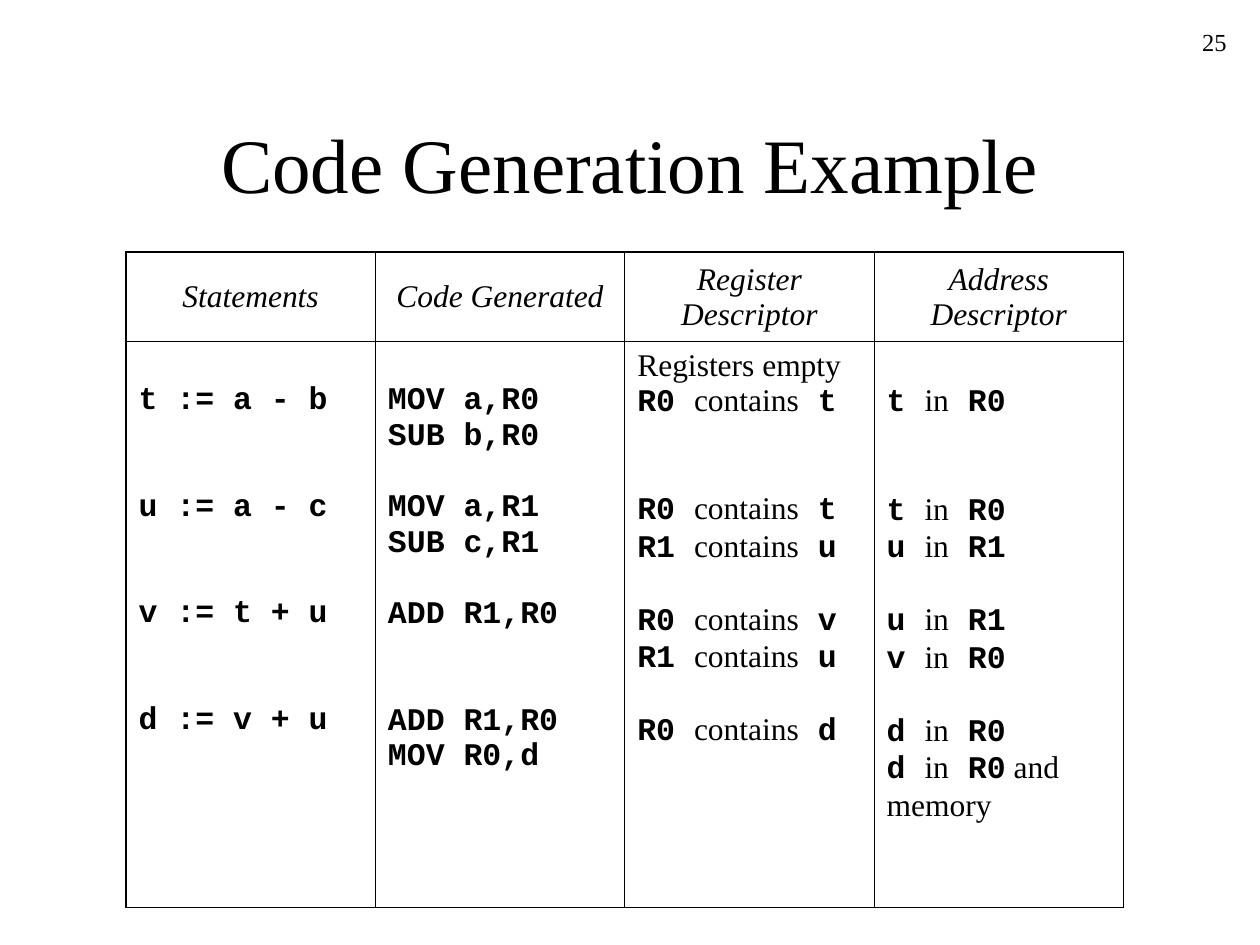
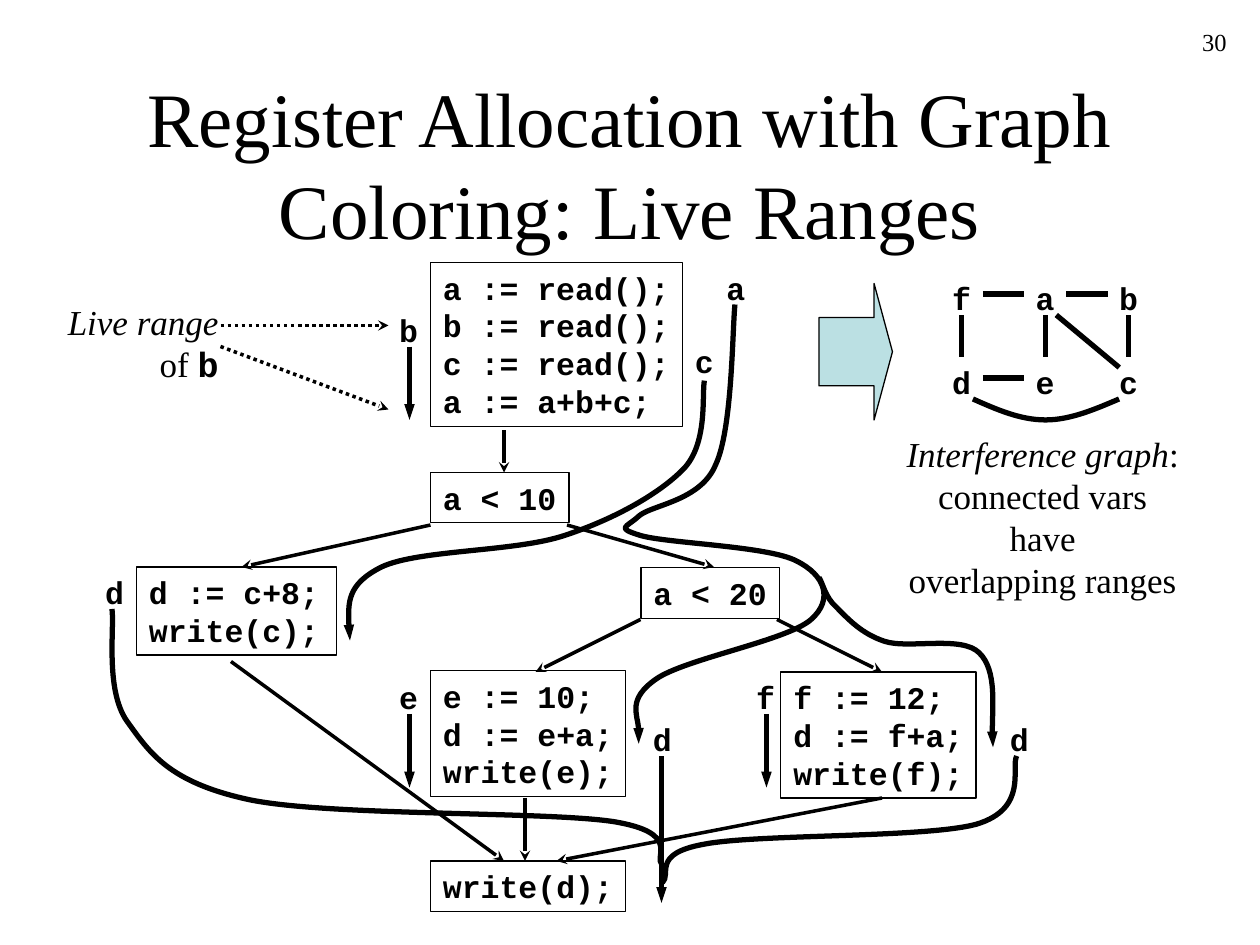
import pptx
import pptx.util
import pptx.dml.color
import pptx.enum.dml
import pptx.enum.shapes
import pptx.enum.text
import pptx.oxml.ns
import lxml.etree

Pt = pptx.util.Pt
qn = pptx.oxml.ns.qn
ALIGN = pptx.enum.text.PP_ALIGN
ANCHOR = pptx.enum.text.MSO_ANCHOR
AUTO_SIZE = pptx.enum.text.MSO_AUTO_SIZE
SHAPES = pptx.enum.shapes.MSO_SHAPE

# Shared style
COLORS = {"ink": "000000", "arrow": "BBE0E3"}
SERIF, MONO = "Times New Roman", "Courier New"
CODE_SIZE, CHARACTER_WIDTH = 18, 10.8
LEADING = 1.2  # line height as a multiple of the text size
MARGIN_X, MARGIN_Y = 7.2, 3.6

# Text marks: `code` is bold monospace, *word* is italic

# Content: code generation table
TABLE_BOX = (72, 144, 570, 374.4)
HEADER_HEIGHT = 51
HEADERS = ["Statements", "Code Generated", "Register Descriptor", "Address Descriptor"]
INITIAL_STATE = ["", "", "Registers empty", ""]
STEPS = [
    (["`t := a - b`"], ["`MOV a,R0`", "`SUB b,R0`"],
     ["`R0 `contains` t`"], ["`t `in` R0`"]),
    (["`u := a - c`"], ["`MOV a,R1`", "`SUB c,R1`"],
     ["`R0 `contains` t`", "`R1 `contains` u`"], ["`t `in` R0`", "`u `in` R1`"]),
    (["`v := t + u`"], ["`ADD R1,R0`"],
     ["`R0 `contains` v`", "`R1 `contains` u`"], ["`u `in` R1`", "`v `in` R0`"]),
    (["`d := v + u`"], ["`ADD R1,R0`", "`MOV R0,d`"],
     ["`R0 `contains` d`"], ["`d `in` R0`", "`d `in` R0` and memory"]),
]
LINES_PER_STEP, TABLE_LINE, CELL_TOP = 3, 20.2, 4.1
OUTER_BORDER, INNER_BORDER = 1.08, 0.45

# Content: flow graph, as left, top, code lines and any extra width
BLOCKS = [
    (246, 150, ["a := read();", "b := read();", "c := read();", "a := a+b+c;"]),
    (366.3, 324.5, ["a < 20"]),
    (246, 270, ["a < 10"]),
    (78, 324, ["d := c+8;", "write(c);"], 2.6),
    (446.2, 384, ["f := 12;", "d := f+a;", "write(f);"]),
    (246, 383.2, ["e := 10;", "d := e+a;", "write(e);"]),
    (246, 492, ["write(d);"]),
]
FLOW_ARROWS = [
    (288, 246, 288, 270), (246, 300, 138, 324), (324, 300, 408, 324),
    (444, 354, 504, 384), (366, 354, 306, 384), (300, 456, 300, 492),
    (132, 378, 288, 492), (504, 456, 318, 492),
]

# Content: live ranges; a curve is a start point, then cubic segments
RANGE_LABELS = [
    ("a", 408, 150), ("b", 221, 174), ("c", 390, 192), ("e", 221, 384),
    ("f", 425, 384), ("d", 53, 324), ("d", 570, 408), ("d", 366, 408),
]
RANGE_ARROWS = [
    (234, 198, 234, 240), (234, 408, 234, 450),
    (438, 408, 438, 450), (378, 432, 378, 516),
]
RANGE_CURVES = {
    "c": [(402.5, 217.5), (401, 225.5, 404.5, 252, 391.5, 267),
          (378, 281.5, 351.5, 296.5, 322.5, 306), (294, 315.5, 239, 314, 218, 324),
          (198, 334, 198.5, 350, 200, 366)],
    "a": [(420, 174), (418.5, 189.5, 418.5, 245.5, 409, 265.5),
          (400.5, 286.5, 372, 288.5, 365, 295), (358, 301.5, 351.5, 301.5, 366, 306),
          (381, 310.5, 439, 312, 455, 320.5), (471.5, 328.5, 476.5, 342.5, 463.5, 354),
          (450, 366, 391.5, 376.5, 375, 388), (358.5, 399.5, 367, 417, 365, 425)],
    "a branch": [(468, 330), (470, 332.5, 471.5, 341.5, 478, 347),
                 (484.5, 353.5, 492, 362, 505.5, 366.5), (519, 371, 549.5, 363, 559.5, 373),
                 (570, 383, 566, 415.5, 567.5, 427)],
    "d right": [(581, 432), (577.5, 438.5, 588, 462, 558, 471),
                (528.5, 479, 432, 476.5, 402, 482.5), (372, 488, 384, 499.5, 378.5, 504.5)],
    "d left": [(64, 348), (65.5, 358.5, 60, 394, 72.5, 412),
               (85.5, 430, 96, 447, 142.5, 457), (188.5, 466.5, 311, 463.5, 350.5, 469.5),
               (390, 476, 373, 489.5, 378.5, 494.5)],
}
MERGING_RANGES = {"d right", "d left"}  # these end without an arrowhead

# Content: interference graph
NODES = {
    "f": (549.6, 168), "a": (597.3, 168), "b": (645, 168),
    "d": (549.6, 216), "e": (597.3, 216), "c": (645, 216),
}
EDGES = ["fa", "ab", "fd", "ae", "bc", "de"]
EDGE_INSET = 12
DIAGONAL_EDGE = (603.6, 180, 639.6, 210)
CURVED_EDGE = [(556, 228), (569.5, 234, 583, 240, 597.5, 240),
               (611.5, 240, 625.5, 234, 639.5, 228)]
GRAPH_CAPTION = ["*Interference graph*:", "connected vars have", "overlapping ranges"]
RANGE_CAPTION = ["*Live range*", "of `b`"]
CAPTION_ARROWS = [(126, 186, 222, 186), (126, 198, 222, 234)]


def ink(name):
    return pptx.dml.color.RGBColor.from_string(COLORS[name])


def write_line(paragraph, marked, size, align=ALIGN.LEFT):
    """Add runs to a paragraph from text with code and italic marks."""
    paragraph.alignment = align
    for code_index, part in enumerate(marked.split("`")):
        for italic_index, piece in enumerate(part.split("*")):
            if not piece:
                continue
            run = paragraph.add_run()
            run.text = piece
            is_code = code_index % 2 == 1
            run.font.name = MONO if is_code else SERIF
            run.font.size = Pt(size)
            run.font.bold = is_code
            run.font.italic = italic_index % 2 == 1
            run.font.color.rgb = ink("ink")


def write_lines(shape, lines, size, align=ALIGN.LEFT, anchor=ANCHOR.TOP, wrap=False):
    text_frame = shape.text_frame
    text_frame.word_wrap = wrap
    text_frame.auto_size = AUTO_SIZE.NONE if wrap else AUTO_SIZE.SHAPE_TO_FIT_TEXT
    text_frame.vertical_anchor = anchor
    text_frame.margin_left = text_frame.margin_right = Pt(MARGIN_X)
    text_frame.margin_top = text_frame.margin_bottom = Pt(MARGIN_Y)
    paragraph = text_frame.paragraphs[0]
    paragraph.line_spacing = Pt(size * LEADING)
    for index, line in enumerate(lines):
        if index:
            paragraph.add_line_break()
        write_line(paragraph, line, size, align)


def add_text(slide, box, lines, size, **options):
    write_lines(slide.shapes.add_textbox(*map(Pt, box)), lines, size, **options)


def code_size(lines):
    """Width and height of a box that fits the code."""
    width = max(map(len, lines)) * CHARACTER_WIDTH + 2 * MARGIN_X
    return width, len(lines) * CODE_SIZE * LEADING + 2 * MARGIN_Y


def add_label(slide, name, left, top):
    add_text(slide, (left, top, *code_size([name])), [f"`{name}`"], CODE_SIZE)


def style_line(shape, width, head=None, dash=None):
    line = shape.line
    line.color.rgb = ink("ink")
    line.width = Pt(width)
    if dash:
        line.dash_style = dash
    if head:
        outline = shape._element.spPr.find(qn("a:ln"))
        head_width = "sm" if head == "triangle" else "med"
        lxml.etree.SubElement(outline, qn("a:tailEnd"), type=head, w=head_width)


def add_line(slide, ends, width, head=None, dash=None):
    connector = slide.shapes.add_connector(
        pptx.enum.shapes.MSO_CONNECTOR.STRAIGHT, *map(Pt, ends))
    style_line(connector, width, head, dash)
    lxml.etree.SubElement(connector._element.spPr, qn("a:effectLst"))


def add_curve(slide, curve, head=None):
    """Draw an open outline, joining every three points into a cubic segment."""
    points = [tuple(map(Pt, segment[i:i + 2]))
              for segment in curve[1:] for i in (0, 2, 4)]
    builder = slide.shapes.build_freeform(*map(Pt, curve[0]), scale=1.0)
    builder.add_line_segments(points, close=False)
    shape = builder.convert_to_shape()
    outline = next(shape._element.iter(qn("a:path")))
    straight = outline.findall(qn("a:lnTo"))
    for start in range(0, len(straight), 3):
        cubic = lxml.etree.SubElement(outline, qn("a:cubicBezTo"))
        for segment in straight[start:start + 3]:
            cubic.append(segment[0])
            outline.remove(segment)
    shape.shadow.inherit = False
    shape.fill.background()
    style_line(shape, 3, head)


def add_slide(presentation, title, number):
    slide = presentation.slides.add_slide(presentation.slide_layouts[6])
    add_text(slide, (54, 48, 612, 90), [title], 44,
             align=ALIGN.CENTER, anchor=ANCHOR.MIDDLE, wrap=True)
    add_text(slide, (558, 12, 150, 36), [number], 14, align=ALIGN.RIGHT, wrap=True)
    return slide


def style_cell(cell, row, column):
    """Thick borders at the left and top of the table, thin ones elsewhere."""
    thick_sides = {"L": column == 0, "R": False, "T": row == 0, "B": False}
    properties = cell._tc.get_or_add_tcPr()
    for side, is_thick in thick_sides.items():
        width = OUTER_BORDER if is_thick else INNER_BORDER
        border = lxml.etree.SubElement(properties, qn(f"a:ln{side}"), w=str(Pt(width)))
        fill = lxml.etree.SubElement(border, qn("a:solidFill"))
        lxml.etree.SubElement(fill, qn("a:srgbClr"), val=COLORS["ink"])
    cell.fill.background()
    cell.margin_left = cell.margin_right = Pt(MARGIN_X)
    cell.margin_top, cell.margin_bottom = Pt(CELL_TOP), Pt(MARGIN_Y)


def fill_steps(cell, column):
    """Start each step at a fixed number of lines after the one before."""
    paragraph = cell.text_frame.paragraphs[0]
    if INITIAL_STATE[column]:
        write_line(paragraph, INITIAL_STATE[column], CODE_SIZE)
    else:
        cell.margin_top = Pt(CELL_TOP + TABLE_LINE)
    gap = 0
    for step in STEPS:
        for line in step[column]:
            if paragraph.runs:
                paragraph = cell.text_frame.add_paragraph()
            write_line(paragraph, line, CODE_SIZE)
            paragraph.space_before = Pt(gap * TABLE_LINE)
            gap = 0
        gap = LINES_PER_STEP - len(step[column])


def build_code_generation(presentation):
    slide = add_slide(presentation, "Code Generation Example", "25")
    table = slide.shapes.add_table(2, len(HEADERS), *map(Pt, TABLE_BOX)).table
    table.first_row = table.horz_banding = False
    table.rows[0].height = Pt(HEADER_HEIGHT)
    table.rows[1].height = Pt(TABLE_BOX[3] - HEADER_HEIGHT)
    for column, header in enumerate(HEADERS):
        table.columns[column].width = Pt(TABLE_BOX[2] / len(HEADERS))
        for row in range(2):
            style_cell(table.cell(row, column), row, column)
        header_cell = table.cell(0, column)
        header_cell.vertical_anchor = ANCHOR.MIDDLE
        write_line(header_cell.text_frame.paragraphs[0], f"*{header}*",
                   CODE_SIZE, ALIGN.CENTER)
        fill_steps(table.cell(1, column), column)


def build_live_ranges(presentation):
    slide = add_slide(
        presentation, "Register Allocation with Graph Coloring: Live Ranges", "30")

    # Flow graph
    for left, top, lines, *extra in BLOCKS:
        width, height = code_size(lines)
        box = (left, top, width + sum(extra), height)
        block = slide.shapes.add_shape(SHAPES.RECTANGLE, *map(Pt, box))
        block.shadow.inherit = False
        block.fill.background()
        style_line(block, 0.75)
        write_lines(block, [f"`{line}`" for line in lines], CODE_SIZE, wrap=bool(extra))
    for ends in FLOW_ARROWS:
        add_line(slide, ends, 2, "stealth")

    # Live ranges
    for label in RANGE_LABELS:
        add_label(slide, *label)
    for ends in RANGE_ARROWS:
        add_line(slide, ends, 3, "triangle")
    for name, curve in RANGE_CURVES.items():
        add_curve(slide, curve, None if name in MERGING_RANGES else "triangle")
    add_text(slide, (31.3, 168, 100.8, 55.4), RANGE_CAPTION, 20, align=ALIGN.RIGHT)
    for ends in CAPTION_ARROWS:
        add_line(slide, ends, 2, "stealth", pptx.enum.dml.MSO_LINE.ROUND_DOT)

    # Interference graph
    for name, (x, y) in NODES.items():
        add_label(slide, name, x - code_size([name])[0] / 2, y - EDGE_INSET)
    for first, second in EDGES:
        (x1, y1), (x2, y2) = NODES[first], NODES[second]
        inset_x, inset_y = (EDGE_INSET, 0) if y1 == y2 else (0, EDGE_INSET)
        add_line(slide, (x1 + inset_x, y1 + inset_y, x2 - inset_x, y2 - inset_y), 3)
    add_line(slide, DIAGONAL_EDGE, 3)
    add_curve(slide, CURVED_EDGE)
    add_text(slide, (507.6, 243.4, 176.4, 79.2), GRAPH_CAPTION, 20, align=ALIGN.CENTER)

    # Block arrow to the interference graph
    arrow = slide.shapes.add_shape(SHAPES.RIGHT_ARROW, *map(Pt, (468, 162, 42, 78)))
    arrow.adjustments[0], arrow.adjustments[1] = 0.5, 0.25
    arrow.shadow.inherit = False
    arrow.fill.solid()
    arrow.fill.fore_color.rgb = ink("arrow")
    style_line(arrow, 0.75)


def main():
    presentation = pptx.Presentation()
    presentation.slide_width, presentation.slide_height = Pt(720), Pt(540)
    build_code_generation(presentation)
    build_live_ranges(presentation)
    presentation.save("out.pptx")


if __name__ == "__main__":
    main()
